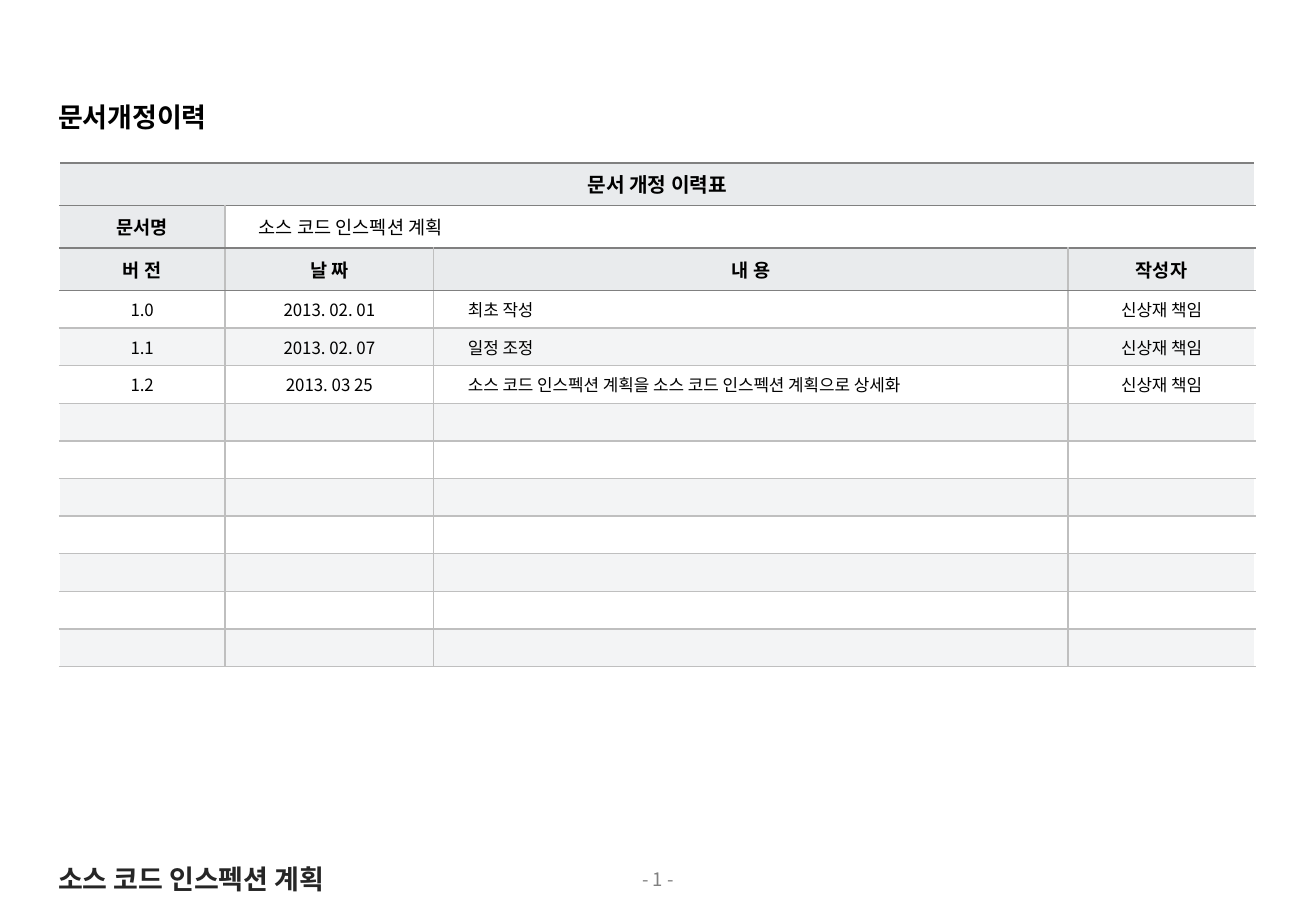
import dataclasses

import lxml.etree
import pptx
import pptx.dml.color
import pptx.enum.text
import pptx.oxml.ns
import pptx.util

Inches = pptx.util.Inches
Align = pptx.enum.text.PP_ALIGN
qn = pptx.oxml.ns.qn


@dataclasses.dataclass(frozen=True)
class Theme:
    font: str = "Noto Sans CJK KR"
    black: str = "000000"
    footer: str = "262626"
    gray: str = "808080"
    rule: str = "BFBFBF"
    white: str = "FFFFFF"
    header: str = "E9EBED"
    band: str = "F3F4F5"
    heading_size: int = 16
    caption_size: int = 12
    label_size: int = 11
    body_size: int = 10


THEME = Theme()

COLUMN_WIDTHS = [1.36, 1.72, 5.22, 1.54]
HEADER_ROWS = 3
EMPTY_ROWS = 7
HEADER_HEIGHT, BODY_HEIGHT = 0.35, 0.31
CONTENT_COLUMN = 2
ROWS = [
    ["문서 개정 이력표", "", "", ""],
    ["문서명", "소스 코드 인스펙션 계획", "", ""],
    ["버 전", "날 짜", "내 용", "작성자"],
    ["1.0", "2013. 02. 01", "최초 작성", "신상재 책임"],
    ["1.1", "2013. 02. 07", "일정 조정", "신상재 책임"],
    ["1.2", "2013. 03 25", "소스 코드 인스펙션 계획을 소스 코드 인스펙션 계획으로 상세화",
     "신상재 책임"],
] + [[""] * len(COLUMN_WIDTHS)] * EMPTY_ROWS


def rgb(value):
    return pptx.dml.color.RGBColor.from_string(value)


def set_all(target, values):
    for name, value in values.items():
        setattr(target, name, value)


def write(para, text, size, color, bold=False, align=Align.LEFT):
    para.alignment = align
    if not text:
        # An empty cell still needs a type size to keep its row height
        lxml.etree.SubElement(para._p, qn("a:endParaRPr"), sz=str(size * 100))
        return
    span = para.add_run()
    span.text = text
    set_all(span.font, {"name": THEME.font, "size": pptx.util.Pt(size), "bold": bold})
    span.font.color.rgb = rgb(color)
    lxml.etree.SubElement(span._r.get_or_add_rPr(), qn("a:ea"), typeface=THEME.font)


def add_label(page, area, text, size, color, wrap=False, **style):
    box = page.shapes.add_textbox(*map(Inches, area))
    set_all(box.text_frame, {
        "word_wrap": wrap,
        "auto_size": pptx.enum.text.MSO_AUTO_SIZE.SHAPE_TO_FIT_TEXT,
    })
    write(box.text_frame.paragraphs[0], text, size, color, **style)


def set_borders(cell, colors):
    properties = cell._tc.get_or_add_tcPr()
    for side in ("L", "R", "T", "B"):
        line = lxml.etree.SubElement(properties, qn("a:ln" + side),
                                     w=str(pptx.util.Pt(1)))
        fill = lxml.etree.SubElement(line, qn("a:solidFill"))
        lxml.etree.SubElement(fill, qn("a:srgbClr"), val=colors[side])


def format_cell(cell, row, column):
    last = len(COLUMN_WIDTHS) - 1
    merged = cell.is_merge_origin or cell.is_spanned
    set_borders(cell, {
        "L": THEME.white if column == 0 or cell.is_spanned else THEME.rule,
        "R": THEME.white if column == last or merged else THEME.rule,
        "T": THEME.gray if row <= HEADER_ROWS else THEME.rule,
        "B": THEME.gray if row < HEADER_ROWS else THEME.rule,
    })

    # Header tint, then a band on every second body row
    is_name = row == 1 and column > 0
    in_header = row < HEADER_ROWS
    if in_header and not is_name:
        tint = THEME.header
    elif not in_header and (row - HEADER_ROWS) % 2:
        tint = THEME.band
    else:
        tint = None
    if tint:
        cell.fill.solid()
        cell.fill.fore_color.rgb = rgb(tint)
    else:
        cell.fill.background()

    indented = is_name or (not in_header and column == CONTENT_COLUMN)
    set_all(cell, {
        "margin_left": Inches(0.28 if indented else 0.06),
        "margin_right": Inches(0.06),
        "margin_top": Inches(0.03),
        "margin_bottom": Inches(0.03),
        "vertical_anchor": pptx.enum.text.MSO_ANCHOR.MIDDLE,
    })
    if row == 0:
        size = THEME.caption_size
    else:
        size = THEME.label_size if in_header else THEME.body_size
    write(cell.text_frame.paragraphs[0], ROWS[row][column], size, THEME.black,
          bold=in_header and not is_name,
          align=Align.LEFT if indented else Align.CENTER)


def add_history_table(page, area):
    table = page.shapes.add_table(len(ROWS), len(COLUMN_WIDTHS),
                                  *map(Inches, area)).table
    set_all(table, {"first_row": False, "horz_banding": False})
    for column, width in zip(table.columns, COLUMN_WIDTHS):
        column.width = Inches(width)
    for index, row in enumerate(table.rows):
        row.height = Inches(HEADER_HEIGHT if index < HEADER_ROWS else BODY_HEIGHT)

    # The caption spans every column, the document name all but the first
    for row in (0, 1):
        table.cell(row, row).merge(table.cell(row, len(COLUMN_WIDTHS) - 1))
    for row in range(len(ROWS)):
        for column in range(len(COLUMN_WIDTHS)):
            format_cell(table.cell(row, column), row, column)


def add_footer(page, area):
    left, top, width, height = area
    add_label(page, (left, top + 0.05, width, 0.29), "- 1 -", THEME.label_size,
              THEME.gray, wrap=True, align=Align.CENTER)
    add_label(page, (left + 0.38, top, 2.68, height), "소스 코드 인스펙션 계획",
              THEME.heading_size, THEME.footer, bold=True)


def main():
    deck = pptx.Presentation()
    set_all(deck, {"slide_width": Inches(10.83), "slide_height": Inches(7.5)})
    page = deck.slides.add_slide(deck.slide_layouts[6])

    add_footer(page, (0, 7.05, 10.83, 0.37))
    add_history_table(page, (0.49, 1.34, 9.84, 4.2))
    add_label(page, (0.38, 0.78, 1.55, 0.37), "문서개정이력",
              THEME.heading_size, THEME.black, bold=True)
    deck.save("out.pptx")


if __name__ == "__main__":
    main()
